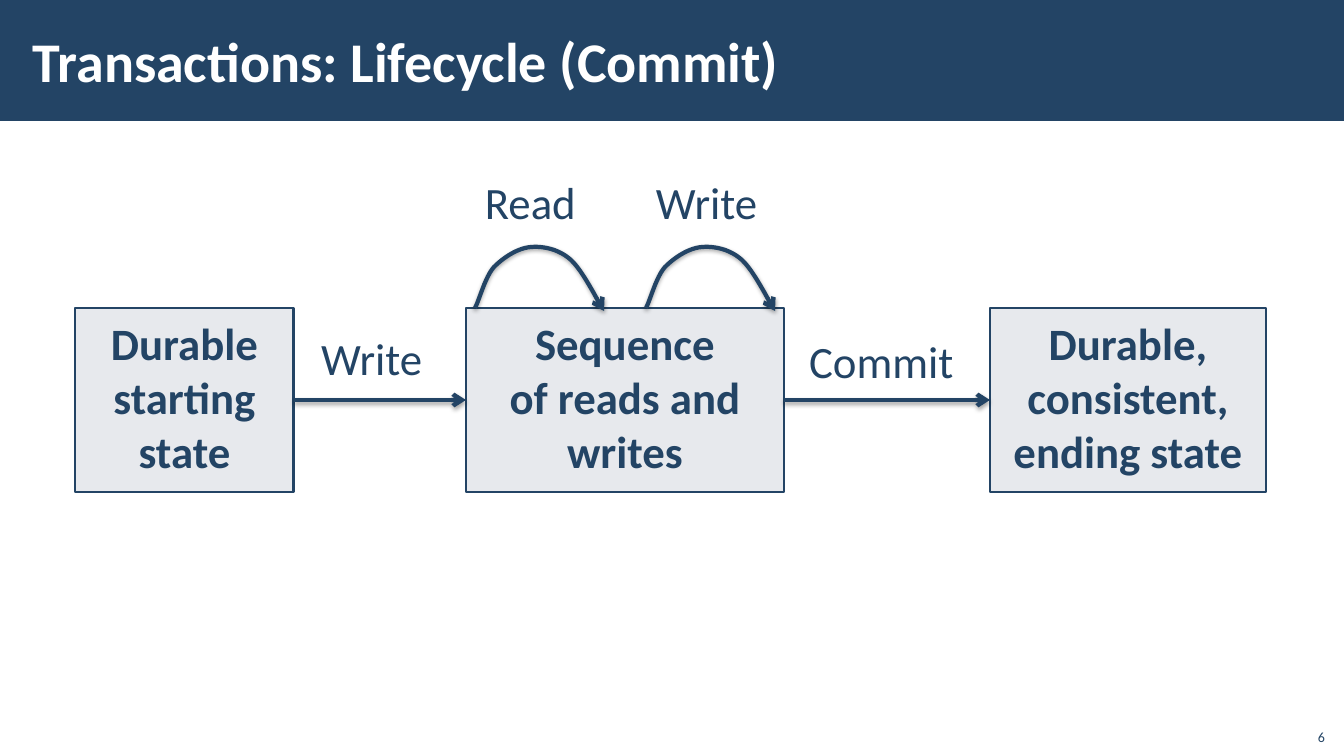
import pptx
import pptx.util
import pptx.dml.color
import pptx.enum.shapes
import pptx.enum.text
import pptx.oxml
import pptx.oxml.ns

ANCHOR = pptx.enum.text.MSO_ANCHOR
ALIGN = pptx.enum.text.PP_ALIGN
NAMESPACE = pptx.oxml.ns.nsdecls("a")
NAVY = "234465"
PALE = "D1D5DD"
WHITE = "FFFFFF"


def color(value):
    return pptx.dml.color.RGBColor.from_string(value)


def px(length):
    return round(length * 914400 / 100.8)


def set_all(target, values):
    for name, value in values.items():
        setattr(target, name, value)


def bezier(start, first, second, end, steps=12):
    for step in range(1, steps + 1):
        t = step / steps
        weights = ((1 - t) ** 3, 3 * t * (1 - t) ** 2, 3 * t * t * (1 - t), t ** 3)
        points = (start, first, second, end)
        yield tuple(sum(w * p[axis] for w, p in zip(weights, points)) for axis in (0, 1))


class SlideBuilder:
    font = "Calibri"
    arrow_width = 3
    box_line_width = 2

    def __init__(self, deck):
        self.page = deck.slides.add_slide(deck.slide_layouts[6])

    def rectangle(self, left, top, width, height, fill):
        kind = pptx.enum.shapes.MSO_SHAPE.RECTANGLE
        box = self.page.shapes.add_shape(kind, px(left), px(top), px(width), px(height))
        box.shadow.inherit = False
        box.fill.solid()
        box.fill.fore_color.rgb = color(fill)
        box.line.fill.background()
        return box

    def fill_text(self, box, paragraphs, insets, size, ink=NAVY, bold=False,
                  align=ALIGN.LEFT, anchor=ANCHOR.TOP, wrap=True):
        frame = box.text_frame
        sides = ("margin_left", "margin_top", "margin_right", "margin_bottom")
        set_all(frame, dict(zip(sides, map(px, insets))))
        set_all(frame, {"word_wrap": wrap, "vertical_anchor": anchor})
        for index, lines in enumerate(paragraphs):
            para = frame.add_paragraph() if index else frame.paragraphs[0]
            para.alignment = align
            for number, line in enumerate(lines.splitlines()):
                if number:
                    para.add_line_break()
                span = para.add_run()
                span.text = line
                set_all(span.font, {"name": self.font, "size": pptx.util.Pt(size), "bold": bold})
                span.font.color.rgb = color(ink)

    def text(self, left, top, width, height, content, size, insets=(10, 5, 10, 5), **style):
        box = self.page.shapes.add_textbox(px(left), px(top), px(width), px(height))
        self.fill_text(box, [content], insets, size, **style)
        return box

    def label(self, left, top, width, content):
        box = self.text(left, top, width, 64, content, 32, wrap=False)
        box.text_frame.auto_size = pptx.enum.text.MSO_AUTO_SIZE.SHAPE_TO_FIT_TEXT

    def state(self, left, width, paragraphs, side_inset):
        box = self.rectangle(left, 308, width, 184, PALE)
        tint = box._element.spPr.find(".//" + pptx.oxml.ns.qn("a:srgbClr"))
        tint.append(pptx.oxml.parse_xml(f'<a:alpha {NAMESPACE} val="50000"/>'))
        box.line.color.rgb = color(NAVY)
        box.line.width = pptx.util.Pt(self.box_line_width)
        self.fill_text(box, paragraphs, (side_inset, 8, side_inset, 12), 32,
                       bold=True, align=ALIGN.CENTER)
        return box

    def finish_arrow(self, arrow):
        arrow.line.color.rgb = color(NAVY)
        arrow.line.width = pptx.util.Pt(self.arrow_width)
        arrow.line._get_or_add_ln().append(
            pptx.oxml.parse_xml(f'<a:tailEnd {NAMESPACE} type="arrow"/>'))
        arrow._element.spPr.append(pptx.oxml.parse_xml(
            f'<a:effectLst {NAMESPACE}>'
            '<a:outerShdw blurRad="40000" dist="23000" dir="5400000" rotWithShape="0">'
            '<a:srgbClr val="000000"><a:alpha val="35000"/></a:srgbClr>'
            '</a:outerShdw></a:effectLst>'))

    def transition(self, source, target):
        kind = pptx.enum.shapes.MSO_CONNECTOR.STRAIGHT
        arrow = self.page.shapes.add_connector(kind, 0, 0, 0, 0)
        arrow.begin_connect(source, 3)
        arrow.end_connect(target, 1)
        self.finish_arrow(arrow)

    def loop(self, left, top):
        knots = [(0, 0), (4, -7), (10, -31), (19, -41), (29, -51), (43, -60), (56, -61),
                 (68, -62), (84, -59), (96, -48), (108, -37), (122, -8), (129, 3)]
        curve = [point for first in range(0, len(knots) - 1, 3)
                 for point in bezier(*knots[first:first + 4])]
        outline = self.page.shapes.build_freeform(px(left), px(top), scale=1.0)
        outline.add_line_segments([(px(left + x), px(top + y)) for x, y in curve], close=False)
        arrow = outline.convert_to_shape()
        arrow.fill.background()
        self.finish_arrow(arrow)


def main():
    deck = pptx.Presentation()
    deck.slide_width, deck.slide_height = px(1344), px(756)
    slide = SlideBuilder(deck)

    slide.rectangle(0, 0, 1344, 121, NAVY)
    slide.text(21, 11, 1072, 98, "Transactions: Lifecycle (Commit)", 40, (12, 4, 12, 4),
               ink=WHITE, bold=True, anchor=ANCHOR.MIDDLE)

    start = slide.state(75, 219, ["Durable starting state"], 10)
    work = slide.state(466, 318, ["Sequence\nof reads and writes"], 10)
    end = slide.state(990, 276, ["Durable,", "consistent,", "ending state"], 12)
    slide.transition(start, work)
    slide.transition(work, end)

    for left, width, name in ((475, 112, "Read"), (646, 123, "Write")):
        slide.loop(left, 308)
        slide.label(left, 170, width, name)
    slide.label(311, 326, 123, "Write")
    slide.label(799, 329, 166, "Commit")

    slide.text(1295, 718, 40, 32, "6", 10, align=ALIGN.RIGHT, anchor=ANCHOR.BOTTOM)
    deck.save("out.pptx")


if __name__ == "__main__":
    main()
